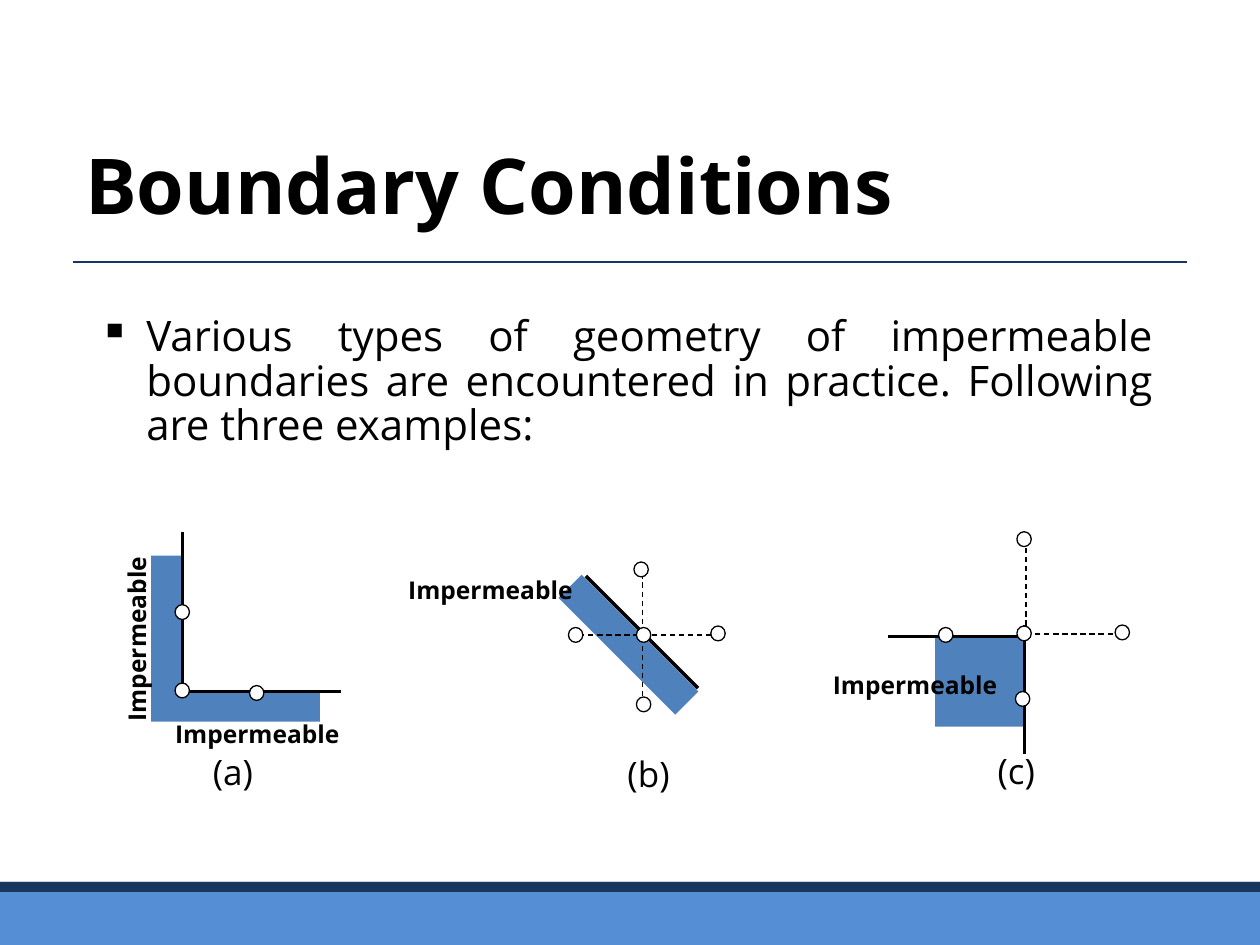
from dataclasses import dataclass

from lxml import etree
from pptx import Presentation
from pptx import util as u
from pptx.dml.color import RGBColor
from pptx.enum import dml, shapes, text
from pptx.oxml import ns

FONT = "Open Sans"
BLACK, WHITE, NAVY, SKY, SOIL = "000000", "FFFFFF", "17375E", "558ED5", "4F81BD"
NODE_WIDTH, NODE_HEIGHT = 0.29, 0.3


@dataclass
class Block:
    left: float
    top: float
    width: float
    height: float
    rotation: float = 0


@dataclass
class Segment:
    x1: float
    y1: float
    x2: float
    y2: float


@dataclass
class Example:
    caption: str
    caption_box: Block
    soil: list[Block]
    walls: list[Segment]
    links: list[Segment]
    labels: list[Block]
    nodes: list[tuple[float, float]]


EXAMPLES = [
    Example(
        "(a)",
        Block(4.04, 15.01, 1.32, 1.12),
        soil=[Block(3.05, 11.2, 0.61, 2.79), Block(3.05, 13.94, 3.4, 0.61)],
        walls=[Segment(3.68, 10.72, 3.68, 13.92), Segment(6.88, 13.94, 3.68, 13.94)],
        links=[],
        labels=[Block(3.28, 14.38, 3.99, 0.86), Block(0.36, 11.96, 4.8, 0.86, 270)],
        nodes=[(3.53, 13.77), (3.53, 12.19), (5.03, 13.82)],
    ),
    Example(
        "(b)",
        Block(12.4, 15.04, 1.37, 1.12),
        soil=[Block(12.34, 11.33, 0.66, 3.33, 315)],
        walls=[Segment(11.81, 11.61, 14.07, 13.87)],
        links=[Segment(12.95, 11.56, 12.95, 14.15), Segment(14.33, 12.8, 11.71, 12.8)],
        labels=[Block(7.98, 11.46, 3.99, 0.86)],
        nodes=[(12.78, 11.33), (12.83, 14.05), (12.83, 12.65), (14.33, 12.62), (11.46, 12.65)],
    ),
    Example(
        "(c)",
        Block(19.86, 14.99, 1.27, 1.12),
        soil=[Block(18.85, 12.85, 1.8, 1.8)],
        walls=[Segment(20.65, 12.6, 20.65, 15.19), Segment(20.7, 12.83, 17.91, 12.83)],
        links=[Segment(20.68, 11.05, 20.68, 12.65), Segment(22.43, 12.78, 20.83, 12.78)],
        labels=[Block(16.54, 13.39, 3.99, 0.86)],
        nodes=[(20.5, 12.62), (20.47, 13.94), (18.92, 12.65), (22.48, 12.6), (20.5, 10.72)],
    ),
]


def color(value: str) -> RGBColor:
    return RGBColor.from_string(value)


def frame(block: Block) -> tuple:
    return tuple(u.Cm(n) for n in (block.left, block.top, block.width, block.height))


def draw_shape(slide, preset, block: Block, fill: str, outline: str | None = None) -> None:
    shape = slide.shapes.add_shape(preset, *frame(block))
    shape.rotation = block.rotation
    shape.shadow.inherit = False
    shape.fill.solid()
    shape.fill.fore_color.rgb = color(fill)
    if outline:
        shape.line.color.rgb = color(outline)
        shape.line.width = u.Pt(0.75)
    else:
        shape.line.fill.background()


def draw_line(slide, segment: Segment, ink: str, width: float, dashed: bool = False) -> None:
    ends = (u.Cm(n) for n in (segment.x1, segment.y1, segment.x2, segment.y2))
    line = slide.shapes.add_connector(shapes.MSO_CONNECTOR.STRAIGHT, *ends)
    line.line.color.rgb = color(ink)
    line.line.width = u.Pt(width)
    if dashed:
        line.line.dash_style = dml.MSO_LINE.DASH
    etree.SubElement(line._element.spPr, ns.qn("a:effectLst"))


def draw_text(slide, block: Block, words: str, size: float, bold: bool = False,
              wrap: bool = True, anchor=text.MSO_ANCHOR.TOP):
    box = slide.shapes.add_textbox(*frame(block))
    box.rotation = block.rotation
    box.text_frame.word_wrap = wrap
    box.text_frame.vertical_anchor = anchor
    paragraph = box.text_frame.paragraphs[0]
    run = paragraph.add_run()
    run.text = words
    run.font.name = FONT
    run.font.size = u.Pt(size)
    run.font.bold = bold
    run.font.color.rgb = color(BLACK)
    return paragraph


def add_bullet(paragraph, mark: str, indent: float) -> None:
    properties = paragraph._p.get_or_add_pPr()
    properties.set("marL", str(u.Cm(indent)))
    properties.set("indent", str(-u.Cm(indent)))
    etree.SubElement(properties, ns.qn("a:buChar"), char=mark)


def draw_example(slide, example: Example) -> None:
    for soil in example.soil:
        draw_shape(slide, shapes.MSO_SHAPE.RECTANGLE, soil, SOIL)
    for wall in example.walls:
        draw_line(slide, wall, BLACK, 2)
    for link in example.links:
        draw_line(slide, link, BLACK, 0.75, dashed=True)
    for left, top in example.nodes:
        node = Block(left, top, NODE_WIDTH, NODE_HEIGHT)
        draw_shape(slide, shapes.MSO_SHAPE.OVAL, node, WHITE, BLACK)
    for label in example.labels:
        draw_text(slide, label, "Impermeable", 14, bold=True)
    draw_text(slide, example.caption_box, example.caption, 20, wrap=False)


def main() -> None:
    deck = Presentation()
    deck.slide_width, deck.slide_height = u.Cm(25.4), u.Cm(19.05)
    slide = deck.slides.add_slide(deck.slide_layouts[6])

    draw_text(slide, Block(1.47, 2.11, 22.86, 3.18), "Boundary Conditions", 44,
              bold=True, anchor=text.MSO_ANCHOR.MIDDLE)
    draw_line(slide, Segment(1.47, 5.28, 23.93, 5.28), NAVY, 0.75)
    intro = draw_text(
        slide, Block(1.75, 6.25, 21.74, 4.24),
        "Various types of geometry of impermeable boundaries are encountered "
        "in practice. Following are three examples:", 24)
    intro.alignment = text.PP_ALIGN.JUSTIFY
    intro.line_spacing = 0.88
    add_bullet(intro, "▪", 0.95)

    for height, fill in ((1.27, SKY), (0.2, NAVY)):
        draw_shape(slide, shapes.MSO_SHAPE.RECTANGLE, Block(0, 17.78, 25.4, height), fill)
    for example in EXAMPLES:
        draw_example(slide, example)
    deck.save("out.pptx")


if __name__ == "__main__":
    main()
